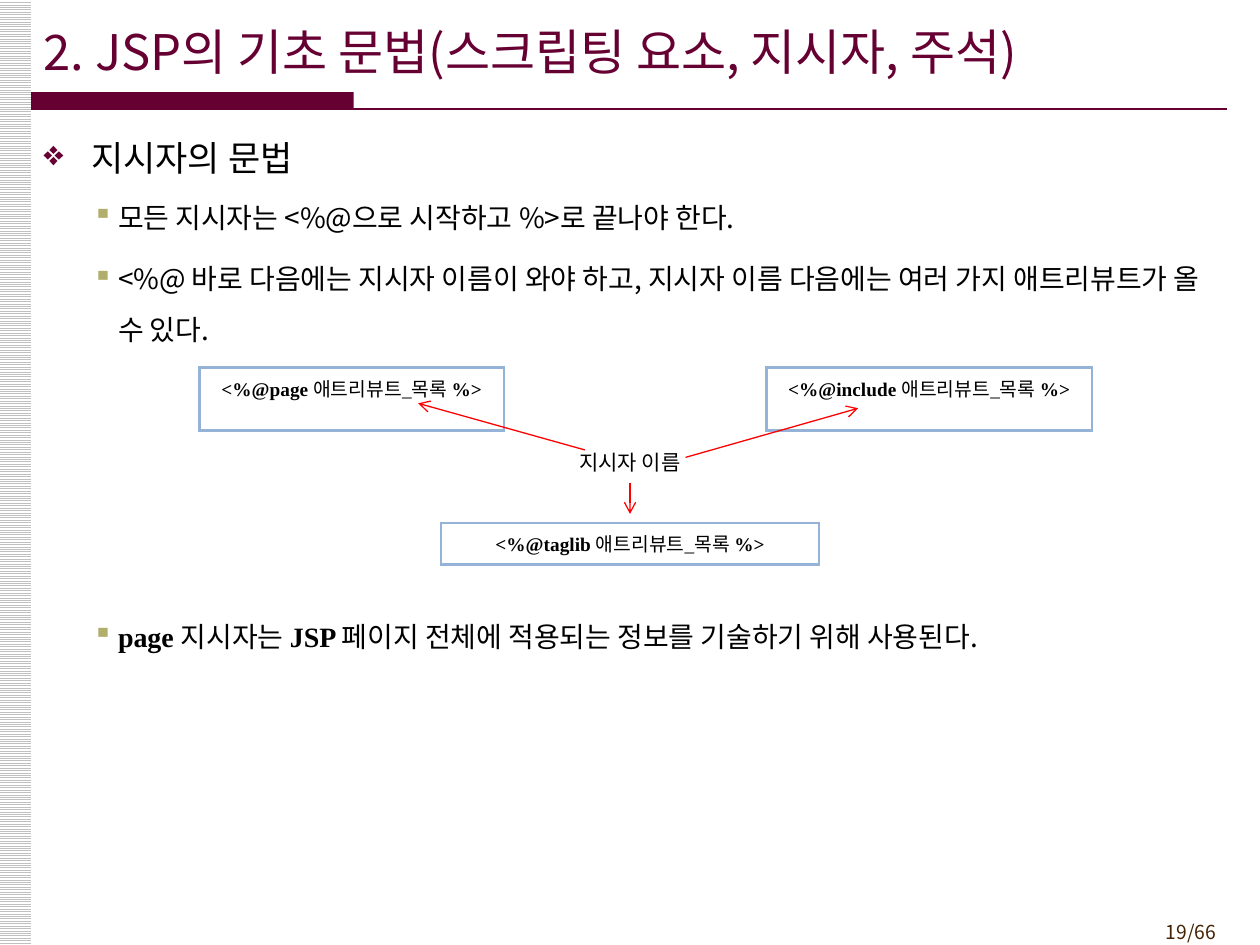
from dataclasses import dataclass

from lxml.etree import SubElement
from pptx import Presentation
from pptx.dml.color import RGBColor
from pptx.enum.dml import MSO_PATTERN
from pptx.enum.shapes import MSO_CONNECTOR, MSO_SHAPE
from pptx.enum.text import MSO_ANCHOR, PP_ALIGN
from pptx.oxml.ns import qn
from pptx.util import Cm, Pt


@dataclass(frozen=True)
class Theme:
    sans: str = "Noto Sans CJK KR"
    serif: str = "Times New Roman"
    symbols: str = "OpenSymbol"
    wine: str = "660033"
    olive: str = "B1AE6B"
    brown: str = "452103"
    black: str = "000000"
    white: str = "FFFFFF"
    gray: str = "C0C0C0"
    blue: str = "95B3D7"
    red: str = "FF0000"
    title: int = 28
    heading: int = 20
    body: int = 16
    label: int = 12
    small: int = 11


def rgb(value):
    return RGBColor.from_string(value)


def add_element(parent, tag, **attributes):
    return SubElement(parent, qn(tag), attributes)


class SlideBuilder:
    def __init__(self, slide, theme):
        self.slide = slide
        self.theme = theme

    def style(self, span, size, color, font=None, bold=False):
        """Format one run, with pair kerning off."""
        span.font.size = Pt(size)
        span.font.color.rgb = rgb(color)
        span.font.bold = bold
        span.font.name = font or self.theme.sans
        properties = span._r.get_or_add_rPr()
        properties.set("kern", "0")
        add_element(properties, "a:ea", typeface=self.theme.sans)

    def mixed_runs(self, para, pieces, size, plain_font):
        """Write (text, bold) pieces; bold ones are set in the serif face."""
        for text, bold in pieces:
            span = para.add_run()
            span.text = text
            font = self.theme.serif if bold else plain_font
            self.style(span, size, self.theme.black, font, bold)

    def frame(self, left, top, width, height, anchor=MSO_ANCHOR.TOP):
        box = self.slide.shapes.add_textbox(Cm(left), Cm(top), Cm(width), Cm(height))
        box.text_frame.word_wrap = True
        box.text_frame.vertical_anchor = anchor
        return box.text_frame

    def text(self, content, place, size, color, align=PP_ALIGN.LEFT):
        para = self.frame(*place, anchor=MSO_ANCHOR.MIDDLE).paragraphs[0]
        para.text = content
        para.alignment = align
        self.style(para.runs[0], size, color)

    def bullet(self, para, mark, color, margin, hanging):
        properties = para._p.get_or_add_pPr()
        properties.set("marL", str(Cm(margin)))
        properties.set("indent", str(-Cm(hanging)))
        add_element(add_element(properties, "a:buClr"), "a:srgbClr", val=color)
        add_element(properties, "a:buFont", typeface=self.theme.symbols)
        add_element(properties, "a:buChar", char=mark)

    def heading(self, para, content):
        self.bullet(para, "❖", self.theme.wine, 0.96, 0.96)
        self.mixed_runs(para, [(content, False)], self.theme.heading, self.theme.sans)

    def point(self, para, pieces, spacing=1.5, before=3.2):
        self.bullet(para, "▪", self.theme.olive, 1.5, 0.51)
        para.line_spacing = spacing
        para.space_before = Pt(before)
        para.space_after = Pt(3)
        self.mixed_runs(para, pieces, self.theme.body, self.theme.sans)

    def rectangle(self, left, top, width, height, color=None):
        shape = self.slide.shapes.add_shape(
            MSO_SHAPE.RECTANGLE, Cm(left), Cm(top), Cm(width), Cm(height))
        shape.shadow.inherit = False
        shape.line.fill.background()
        if color:
            shape.fill.solid()
            shape.fill.fore_color.rgb = rgb(color)
        return shape

    def striped_band(self, *place):
        fill = self.rectangle(*place).fill
        fill.patterned()
        fill.pattern = MSO_PATTERN.LIGHT_HORIZONTAL
        fill.fore_color.rgb = rgb(self.theme.gray)
        fill.back_color.rgb = rgb(self.theme.white)

    def label(self, content, *place):
        shape = self.rectangle(*place, color=self.theme.white)
        shape.text_frame.vertical_anchor = MSO_ANCHOR.MIDDLE
        para = shape.text_frame.paragraphs[0]
        para.text = content
        para.alignment = PP_ALIGN.CENTER
        self.style(para.runs[0], self.theme.label, self.theme.black)
        return shape

    def line(self, start, end, color, width, arrow=False):
        points = [Cm(value) for value in (*start, *end)]
        connector = self.slide.shapes.add_connector(MSO_CONNECTOR.STRAIGHT, *points)
        connector.line.color.rgb = rgb(color)
        connector.line.width = Pt(width)
        if arrow:
            add_element(connector.line._get_or_add_ln(), "a:tailEnd", type="arrow")
        add_element(connector._element.spPr, "a:effectLst")
        return connector

    def syntax_table(self, directive, left, top, width, height):
        """One bordered cell showing the form of a directive."""
        table = self.slide.shapes.add_table(
            1, 1, Cm(left), Cm(top), Cm(width), Cm(height)).table
        table.first_row = table.horz_banding = False
        cell = table.cell(0, 0)
        properties = cell._tc.get_or_add_tcPr()
        for side in ("a:lnL", "a:lnR", "a:lnT", "a:lnB"):
            border = add_element(properties, side, w=str(Pt(1.5)))
            fill = add_element(border, "a:solidFill")
            add_element(fill, "a:srgbClr", val=self.theme.blue)
        cell.fill.background()
        para = cell.text_frame.paragraphs[0]
        para.alignment = PP_ALIGN.CENTER
        pieces = [(f"<%@{directive} ", True), ("애트리뷰트_목록 ", False), ("%>", True)]
        self.mixed_runs(para, pieces, self.theme.small, self.theme.serif)


def main():
    deck = Presentation()
    deck.slide_width, deck.slide_height = Cm(25.4), Cm(19.05)
    theme = Theme()
    builder = SlideBuilder(deck.slides.add_slide(deck.slide_layouts[6]), theme)

    builder.striped_band(-0.03, 0, 0.66, 19.05)
    builder.text("19/66", (22.66, 18.42, 2.11, 0.74), theme.small, theme.brown,
                 PP_ALIGN.RIGHT)
    builder.rectangle(0.63, 1.86, 6.5, 0.35, theme.wine)
    builder.line((0.63, 2.2), (24.74, 2.2), theme.wine, 1.5)
    builder.text("2. JSP의 기초 문법(스크립팅 요소, 지시자, 주석)",
                 (0.63, 0.23, 23.5, 1.6), theme.title, theme.wine)

    body = builder.frame(0.63, 2.62, 24.13, 4.7)
    builder.heading(body.paragraphs[0], "지시자의 문법")
    for content in (
        "모든 지시자는 <%@으로 시작하고 %>로 끝나야 한다.",
        "<%@ 바로 다음에는 지시자 이름이 와야 하고, 지시자 이름 다음에는 "
        "여러 가지 애트리뷰트가 올 수 있다.",
    ):
        builder.point(body.add_paragraph(), [(content, False)])

    closing = builder.frame(0.63, 12.36, 24.13, 1.2)
    builder.point(closing.paragraphs[0], [
        ("page ", True), ("지시자는 ", False), ("JSP ", True),
        ("페이지 전체에 적용되는 정보를 기술하기 위해 사용된다.", False),
    ], spacing=1.0, before=0)

    for directive, left, top, width, height in (
        ("page", 4.02, 7.41, 6.14, 1.27),
        ("include", 15.45, 7.41, 6.56, 1.27),
        ("taglib", 8.89, 10.54, 7.62, 0.84),
    ):
        builder.syntax_table(directive, left, top, width, height)

    name_label = builder.label("지시자 이름", 11.21, 8.89, 2.98, 0.84)
    down = builder.line((12.7, 9.73), (12.7, 10.36), theme.red, 0.75, arrow=True)
    down.begin_connect(name_label, 2)
    for start, end in (((13.82, 9.22), (17.3, 8.23)), ((11.79, 9.07), (8.43, 8.13))):
        builder.line(start, end, theme.red, 0.75, arrow=True)

    deck.save("out.pptx")


if __name__ == "__main__":
    main()
